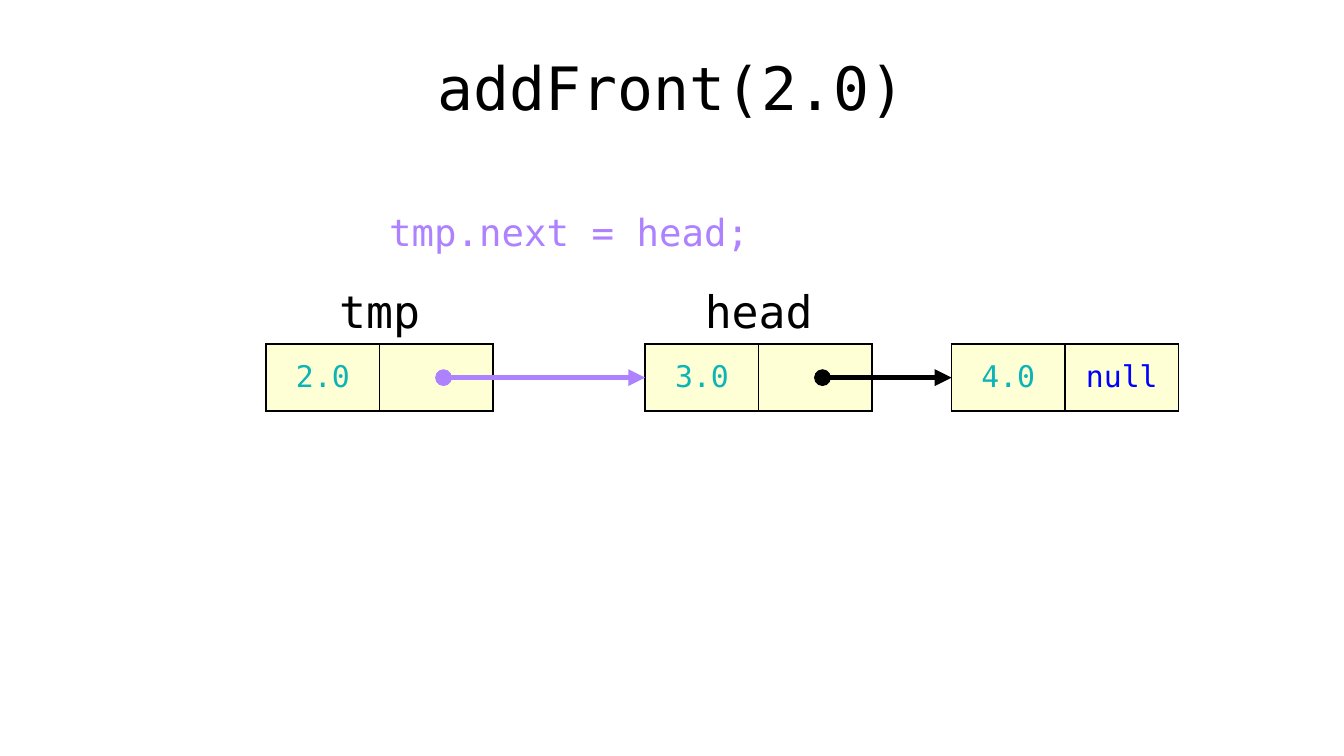
from lxml import etree
from pptx import Presentation
from pptx.dml.color import RGBColor
from pptx.enum.shapes import MSO_CONNECTOR
from pptx.enum.text import MSO_ANCHOR, PP_ALIGN
from pptx.oxml.ns import qn
from pptx.util import Pt

STRAIGHT = MSO_CONNECTOR.STRAIGHT
CENTER = PP_ALIGN.CENTER
TOP, MIDDLE = MSO_ANCHOR.TOP, MSO_ANCHOR.MIDDLE
PX = 4572  # EMU per px, 200 px to the inch

FONT = "DejaVu Sans Mono"
BLACK, TEAL, BLUE = "000000", "0CB5B5", "0000FF"
PURPLE, CREAM = "AE81FF", "FFFFD6"

# Layout of the linked list
CELL_W, CELL_H = 169, 100
NODE_W = 2 * CELL_W
NODE_TOP = 512
ARROW_Y = NODE_TOP + CELL_H // 2
TMP_X, HEAD_X, LAST_X = 396, 960, 1416


def rgb(color):
    return RGBColor.from_string(color)


def px(*lengths):
    return [n * PX for n in lengths]


class ListSlide:
    def __init__(self, prs):
        self.s = prs.slides.add_slide(prs.slide_layouts[5])

    def set_text(self, tf, text, size, color):
        tf.text = text
        p = tf.paragraphs[0]
        p.alignment = CENTER
        for r in p.runs:
            r.font.name = FONT
            r.font.size = Pt(size)
            r.font.color.rgb = rgb(color)

    def title(self, text, x, y, w, h):
        sp = self.s.shapes.title
        sp.left, sp.top, sp.width, sp.height = px(x, y, w, h)
        sp.text_frame.vertical_anchor = MIDDLE
        self.set_text(sp.text_frame, text, 32, BLACK)

    def label(self, text, x, y, w, h, size, color=BLACK):
        sp = self.s.shapes.add_textbox(*px(x, y, w, h))
        sp.text_frame.word_wrap = True
        sp.text_frame.vertical_anchor = TOP
        self.set_text(sp.text_frame, text, size, color)

    def border(self, cell):
        tcPr = cell._tc.get_or_add_tcPr()
        for side in ("a:lnL", "a:lnR", "a:lnT", "a:lnB"):
            ln = etree.SubElement(tcPr, qn(side), w=str(Pt(1)))
            fill = etree.SubElement(ln, qn("a:solidFill"))
            etree.SubElement(fill, qn("a:srgbClr"), val=BLACK)

    def node(self, x, value, link=""):
        frame = self.s.shapes.add_table(1, 2, *px(x, NODE_TOP, NODE_W, CELL_H))
        table = frame.table
        table.first_row = table.horz_banding = False
        for cell, text, color in zip(table.iter_cells(), (value, link), (TEAL, BLUE)):
            self.border(cell)
            cell.fill.solid()
            cell.fill.fore_color.rgb = rgb(CREAM)
            cell.vertical_anchor = MIDDLE
            self.set_text(cell.text_frame, text, 16, color)

    def arrow(self, x1, x2, color):
        line = self.s.shapes.add_connector(STRAIGHT, *px(x1, ARROW_Y, x2, ARROW_Y))
        line.line.width = Pt(3)
        line.line.color.rgb = rgb(color)
        spPr = line._element.spPr
        ln = spPr.find(qn("a:ln"))
        etree.SubElement(ln, qn("a:headEnd"), type="oval")
        etree.SubElement(ln, qn("a:tailEnd"), type="triangle")
        etree.SubElement(spPr, qn("a:effectLst"))


def main():
    prs = Presentation()
    prs.slide_width, prs.slide_height = px(2000, 1125)
    slide = ListSlide(prs)
    slide.title("addFront(2.0)", 100, 56, 1800, 146)

    # Existing list
    slide.node(HEAD_X, "3.0")
    slide.arrow(1224, LAST_X, BLACK)
    slide.node(LAST_X, "4.0", "null")

    # New node linked to the head
    slide.node(TMP_X, "2.0")
    slide.label("tmp.next = head;", TMP_X, 302, HEAD_X + NODE_W - TMP_X, 88, 20, PURPLE)
    slide.arrow(660, HEAD_X, PURPLE)

    # Variable names above the nodes
    for name, x in (("tmp", TMP_X), ("head", HEAD_X)):
        slide.label(name, x, NODE_TOP - 100, NODE_W, 100, 24)

    prs.save("out.pptx")


if __name__ == "__main__":
    main()
